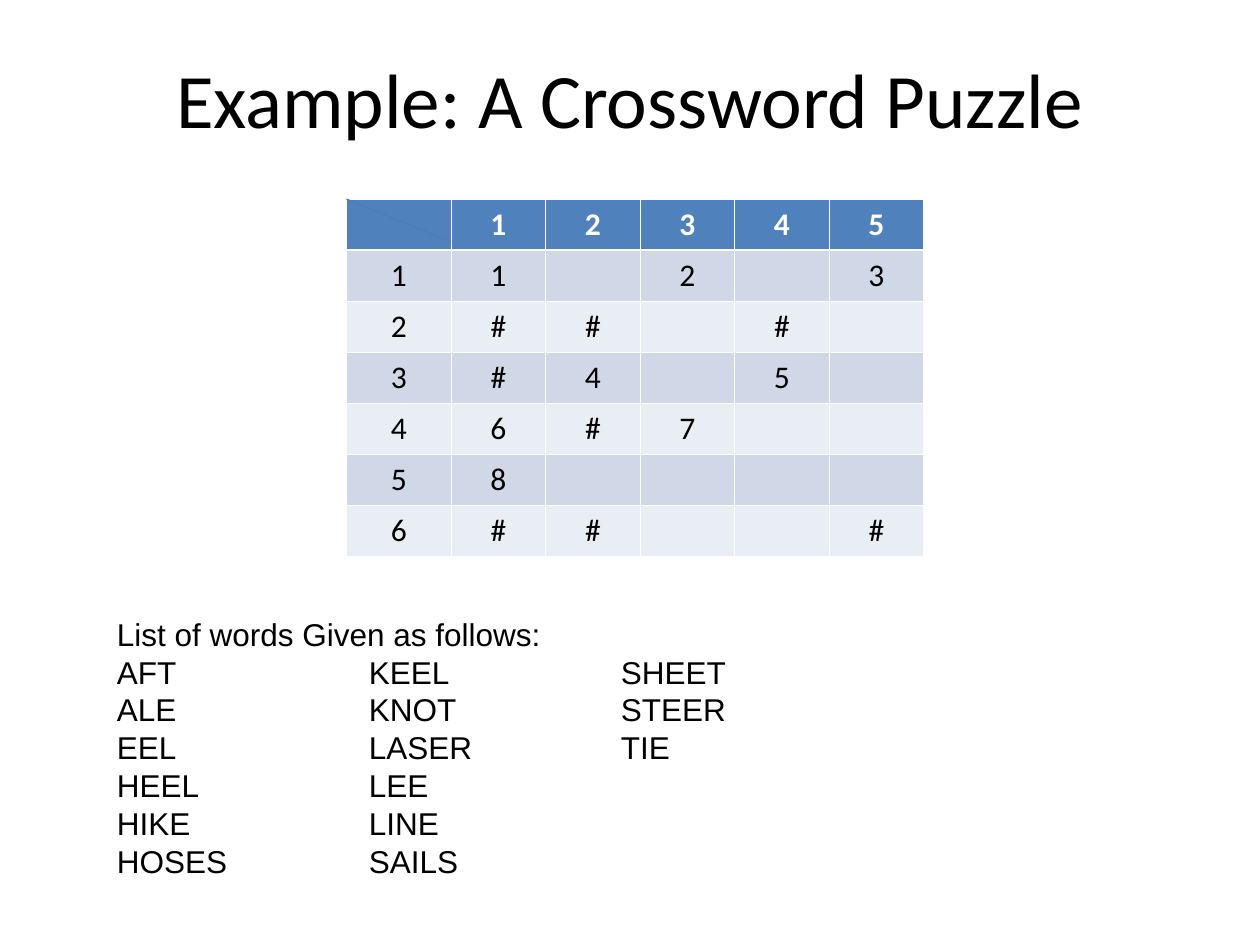
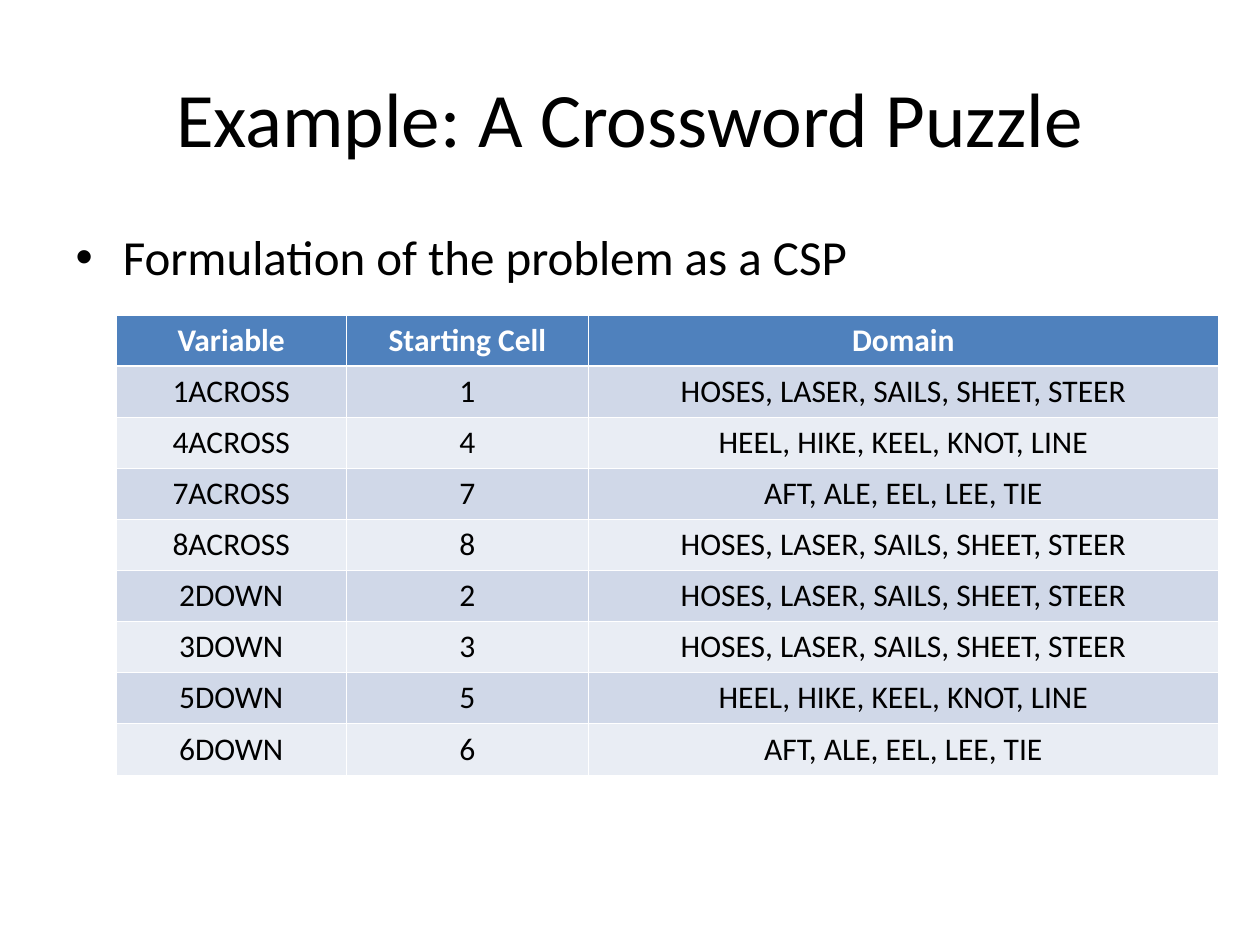
from dataclasses import dataclass

from lxml import etree
from pptx import Presentation
from pptx.dml.color import RGBColor
from pptx.enum.shapes import MSO_CONNECTOR
from pptx.enum.text import MSO_ANCHOR, MSO_AUTO_SIZE, PP_ALIGN
from pptx.oxml.ns import qn
from pptx.util import Inches, Pt

STRAIGHT = MSO_CONNECTOR.STRAIGHT
MIDDLE = MSO_ANCHOR.MIDDLE
NO_AUTOFIT = MSO_AUTO_SIZE.NONE
FIT_SHAPE = MSO_AUTO_SIZE.SHAPE_TO_FIT_TEXT
CENTER = PP_ALIGN.CENTER
LEFT = PP_ALIGN.LEFT
TITLE_ONLY, TITLE_AND_CONTENT = 5, 1


@dataclass(frozen=True)
class Theme:
    text: str = "000000"
    white: str = "FFFFFF"
    header: str = "4F81BD"
    bands: tuple = ("D0D8E8", "E9EDF4")
    diagonal: str = "4A7EBB"
    font: str = "Calibri"
    list_font: str = "Arial"
    title_size: int = 44
    body_size: int = 28
    small_size: int = 18
    thin: float = 0.45
    thick: float = 1.47


THEME = Theme()
TITLE = "Example: A Crossword Puzzle"
WORDS = [
    "AFT", "ALE", "EEL", "HEEL", "HIKE", "HOSES",
    "KEEL", "KNOT", "LASER", "LEE", "LINE", "SAILS",
    "SHEET", "STEER", "TIE",
]
WORDS_PER_COLUMN = 6
CROSSWORD = [
    ["", "1", "2", "3", "4", "5"],
    ["1", "1", "", "2", "", "3"],
    ["2", "#", "#", "", "#", ""],
    ["3", "#", "4", "", "5", ""],
    ["4", "6", "#", "7", "", ""],
    ["5", "8", "", "", "", ""],
    ["6", "#", "#", "", "", "#"],
]
VARIABLES = [
    ("1ACROSS", 5), ("4ACROSS", 4), ("7ACROSS", 3), ("8ACROSS", 5),
    ("2DOWN", 5), ("3DOWN", 5), ("5DOWN", 4), ("6DOWN", 3),
]


def rgb(value):
    return RGBColor.from_string(value)


def style(p, size, color=THEME.text, font=THEME.font, bold=False, align=LEFT):
    p.alignment = align
    p.font.size = Pt(size)
    p.font.name = font
    p.font.bold = bold
    p.font.color.rgb = rgb(color)


def fill_placeholder(sp, box, text, size, align=LEFT):
    sp.left, sp.top, sp.width, sp.height = map(Inches, box)
    tf = sp.text_frame
    tf.auto_size = NO_AUTOFIT
    tf.text = text
    p = tf.paragraphs[0]
    p.space_before = Pt(0)
    style(p, size, align=align)


def add_titled_slide(prs, layout, title_height):
    s = prs.slides.add_slide(prs.slide_layouts[layout])
    title = s.shapes.title
    fill_placeholder(title, (0.5, 0.3, 9, title_height), TITLE,
                     THEME.title_size, CENTER)
    title.text_frame.vertical_anchor = MIDDLE
    return s


def set_borders(cell, top, bottom):
    tc_pr = cell._tc.get_or_add_tcPr()
    widths = {"L": THEME.thin, "R": THEME.thin, "T": top, "B": bottom}
    for side, width in widths.items():
        ln = etree.SubElement(tc_pr, qn(f"a:ln{side}"), w=str(Pt(width)))
        fill = etree.SubElement(ln, qn("a:solidFill"))
        etree.SubElement(fill, qn("a:srgbClr"), val=THEME.white)


def add_banded_table(s, left, top, col_widths, height, rows):
    table = s.shapes.add_table(
        len(rows), len(col_widths), Inches(left), Inches(top),
        Inches(sum(col_widths)), Inches(height)).table
    for column, width in zip(table.columns, col_widths):
        column.width = Inches(width)
    for i, values in enumerate(rows):
        is_header = i == 0
        background = THEME.header if is_header else THEME.bands[(i - 1) % 2]
        color = THEME.white if is_header else THEME.text
        for cell, value in zip(table.rows[i].cells, values):
            set_borders(cell, THEME.thick if i == 1 else THEME.thin,
                        THEME.thick if is_header else THEME.thin)
            cell.fill.solid()
            cell.fill.fore_color.rgb = rgb(background)
            cell.text = value
            style(cell.text_frame.paragraphs[0], THEME.small_size, color,
                  bold=is_header, align=CENTER)


def add_line(s, x1, y1, x2, y2):
    line = s.shapes.add_connector(STRAIGHT, *map(Inches, (x1, y1, x2, y2)))
    line.line.color.rgb = rgb(THEME.diagonal)
    line.line.width = Pt(0.75)
    etree.SubElement(line._element.spPr, qn("a:effectLst"))


def add_tab_stops(p, positions):
    tabs = etree.SubElement(p._p.get_or_add_pPr(), qn("a:tabLst"))
    for position in positions:
        etree.SubElement(tabs, qn("a:tab"), pos=str(Inches(position)), algn="l")


def add_word_list(s, box):
    tf = s.shapes.add_textbox(*map(Inches, box)).text_frame
    tf.word_wrap = True
    tf.auto_size = FIT_SHAPE
    lines = ["\t\t".join(WORDS[row::WORDS_PER_COLUMN])
             for row in range(WORDS_PER_COLUMN)]
    tf.text = "\n".join(["List of words Given as follows:", *lines])
    for p in tf.paragraphs:
        add_tab_stops(p, range(1, 8))
        style(p, THEME.small_size, font=THEME.list_font)


def domain(length):
    return ", ".join(word for word in WORDS if len(word) == length)


def build_puzzle_slide(prs):
    s = add_titled_slide(prs, TITLE_ONLY, 0.95)
    add_banded_table(s, 2.75, 1.58, [0.83] + [0.75] * 5, 2.84, CROSSWORD)
    add_line(s, 2.75, 1.58, 3.58, 1.92)
    add_word_list(s, (0.83, 4.83, 8.83, 2.2))


def build_formulation_slide(prs):
    s = add_titled_slide(prs, TITLE_AND_CONTENT, 1.25)
    fill_placeholder(s.placeholders[1], (0.5, 1.75, 9.5, 0.67),
                     "Formulation of the problem as a CSP", THEME.body_size)
    rows = [("Variable", "Starting Cell", "Domain")]
    rows += [(name, name[0], domain(length)) for name, length in VARIABLES]
    add_banded_table(s, 0.92, 2.5, [1.83, 1.92, 5], 3.65, rows)


def main():
    prs = Presentation()
    prs.slide_width, prs.slide_height = Inches(10), Inches(7.5)
    build_puzzle_slide(prs)
    build_formulation_slide(prs)
    prs.save("out.pptx")


if __name__ == "__main__":
    main()
